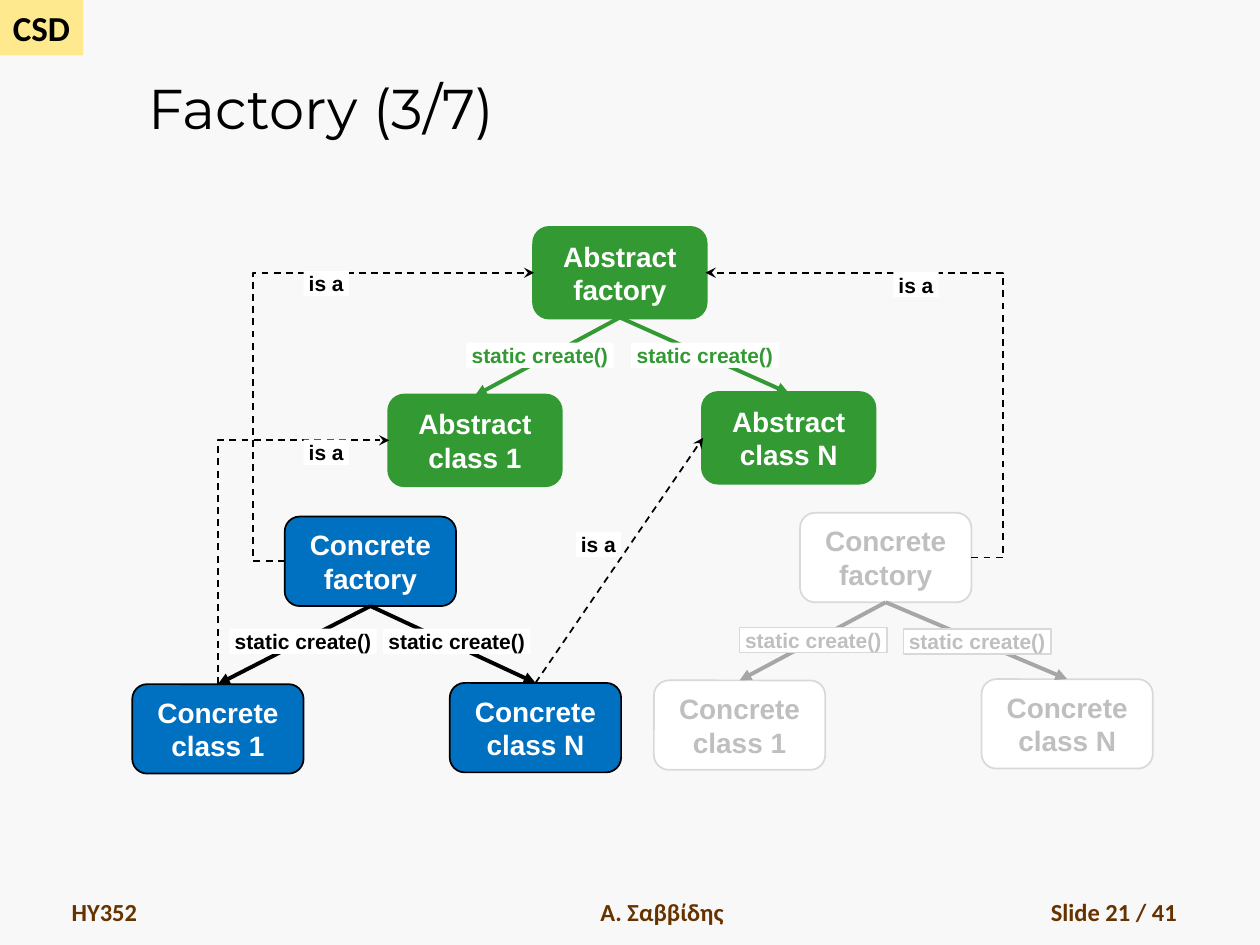
"""Builds the Factory (3/7) slide: abstract and concrete factories with their classes."""
from lxml import etree
from pptx import Presentation
from pptx import util as u
from pptx.dml.color import RGBColor
from pptx.enum import dml, shapes, text
from pptx.oxml.ns import qn

BLACK, WHITE = RGBColor(0, 0, 0), RGBColor(255, 255, 255)
GREEN, BLUE = RGBColor(0x33, 0x99, 0x33), RGBColor(0, 0x70, 0xC0)
PALE, SILVER, GREY = (RGBColor(v, v, v) for v in (0xD9, 0xBF, 0xA6))
BACK, YELLOW, BROWN = RGBColor(0xF8, 0xF8, 0xF8), RGBColor(0xFF, 0xE9, 0x8F), RGBColor(0x66, 0x33, 0)
LEFT, CENTER, RIGHT = text.PP_ALIGN.LEFT, text.PP_ALIGN.CENTER, text.PP_ALIGN.RIGHT
TOP, MIDDLE, BOTTOM = text.MSO_ANCHOR.TOP, text.MSO_ANCHOR.MIDDLE, text.MSO_ANCHOR.BOTTOM
SITE_TOP, SITE_LEFT, SITE_BOTTOM, SITE_RIGHT = range(4)
BOX_W, BOX_H, LABEL_H = 1.36, 0.71, 0.2
CREATE, IS_A = ("static create()", 1.17), ("is a", 0.36)
PARTS = ("factory", "class 1", "class N")

FAMILIES = [
    dict(kind="Abstract", at=[(4.24, 1.81), (3.09, 3.14), (5.58, 3.12)],
         labels=[(3.7, 2.72), (5.01, 2.72)], fill=GREEN, line=(GREEN, 2.25),
         ink=WHITE, arrow=GREEN, label_ink=GREEN, label_line=None),
    dict(kind="Concrete", at=[(2.26, 4.1), (1.05, 5.43), (3.57, 5.42)],
         labels=[(1.82, 4.99), (3.04, 4.99)], fill=BLUE, line=(BLACK, 1),
         ink=WHITE, arrow=BLACK, label_ink=BLACK, label_line=None),
    dict(kind="Concrete", at=[(6.35, 4.07), (5.19, 5.4), (7.79, 5.39)],
         labels=[(5.87, 4.98), (7.17, 4.99)], fill=WHITE, line=(PALE, 1),
         ink=SILVER, arrow=GREY, label_ink=SILVER, label_line=(PALE, 1)),
]
IS_A_AT = [(2.41, 3.49), (2.41, 2.15), (4.57, 4.22), (7.09, 2.16)]
FOOTER = [("HY352", 0.47, 2.19, LEFT), ("Α. Σαββίδης", 3.67, 3.17, CENTER),
          ("Slide 21 / 41", 7.36, 2.08, RIGHT)]


def write(sp, lines, size, color, font="Arial", bold=True, align=CENTER, anchor=TOP,
          inset=(0.1, 0.05), wrap=False):
    tf = sp.text_frame
    tf.text = "\n".join(lines)
    mx, my = map(u.Inches, inset)
    frame = dict(word_wrap=wrap, vertical_anchor=anchor, auto_size=text.MSO_AUTO_SIZE.NONE,
                 margin_left=mx, margin_right=mx, margin_top=my, margin_bottom=my)
    for name, value in frame.items():
        setattr(tf, name, value)
    for p in tf.paragraphs:
        p.alignment = align
        for name, value in dict(size=u.Pt(size), name=font, bold=bold).items():
            setattr(p.font, name, value)
        p.font.color.rgb = color


def add_box(parent, at, size, fill, line=None, preset="RECTANGLE"):
    sp = parent.add_shape(getattr(shapes.MSO_SHAPE, preset), *map(u.Inches, (*at, *size)))
    sp.shadow.inherit = False
    sp.fill.solid()
    sp.fill.fore_color.rgb = fill
    if line:
        sp.line.color.rgb, sp.line.width = line[0], u.Pt(line[1])
    else:
        sp.line.fill.background()
    return sp


def add_label(parent, at, label, ink, line=None):
    sp = add_box(parent, at, (label[1], LABEL_H), WHITE, line)
    write(sp, [label[0]], 12, ink, inset=(0.04, 0))


def add_arrow(parent, start, end, color, width, head, kind="STRAIGHT", dash=False):
    cx = parent.add_connector(getattr(shapes.MSO_CONNECTOR, kind), 0, 0, 0, 0)
    cx.begin_connect(*start)
    cx.end_connect(*end)
    cx.line.color.rgb, cx.line.width = color, u.Pt(width)
    if dash:
        cx.line.dash_style = dml.MSO_LINE.DASH
    etree.SubElement(cx.line._get_or_add_ln(), qn("a:tailEnd"), type=head)
    etree.SubElement(cx._element.spPr, qn("a:effectLst"))
    return cx


def set_bend(cx, offset):
    guides = cx._element.spPr.prstGeom.get_or_add_avLst()
    etree.SubElement(guides, qn("a:gd"), name="adj1", fmla=f"val {round(offset * 100000)}")


def set_corner(cx):
    w, h = cx.width, cx.height
    mid_x, mid_y = cx.left + w // 2, cx.top + h // 2
    cx.left, cx.top, cx.width, cx.height = mid_x - h // 2, mid_y - w // 2, h, w
    cx._element.spPr.prstGeom.set("prst", "bentConnector2")
    for name, value in dict(rot="5400000", flipH="1", flipV="1").items():
        cx._element.spPr.find(qn("a:xfrm")).set(name, value)


def add_family(s, family):
    group = s.shapes.add_group_shape().shapes
    boxes = []
    for part, at in zip(PARTS, family["at"]):
        sp = add_box(group, at, (BOX_W, BOX_H), family["fill"], family["line"], "ROUNDED_RECTANGLE")
        write(sp, [family["kind"], part], 16, family["ink"], anchor=MIDDLE)
        boxes.append(sp)
    for child in boxes[1:]:
        add_arrow(group, (boxes[0], SITE_BOTTOM), (child, SITE_TOP), family["arrow"], 2.25, "triangle")
    for at in family["labels"]:
        add_label(group, at, CREATE, family["label_ink"], family["label_line"])
    return boxes


prs = Presentation()
prs.slide_width, prs.slide_height = u.Inches(10), u.Inches(7.5)
s = prs.slides.add_slide(prs.slide_layouts[5])
s.background.fill.solid()
s.background.fill.fore_color.rgb = BACK

badge = add_box(s.shapes, (0, 0), (0.66, 0.44), YELLOW)
write(badge, ["CSD"], 20, BLACK, "Calibri")
title = s.shapes.title
title.left, title.top, title.width, title.height = map(u.Inches, (1.08, 0.17, 8.92, 1))
write(title, ["Factory (3/7)"], 32, BLACK, "Montserrat", False, LEFT, BOTTOM, wrap=True)
for words, x, w, align in FOOTER:
    tb = s.shapes.add_textbox(*map(u.Inches, (x, 6.9, w, 0.5)))
    write(tb, [words], 14, BROWN, "Calibri", True, align, BOTTOM, wrap=True)

abstract, concrete, faded = [add_family(s, family) for family in FAMILIES]
DASHED = dict(color=BLACK, width=1, head="stealth", dash=True)
set_bend(add_arrow(s.shapes, (concrete[0], SITE_LEFT), (abstract[0], SITE_LEFT), kind="ELBOW", **DASHED), -0.126)
set_corner(add_arrow(s.shapes, (concrete[1], SITE_TOP), (abstract[1], SITE_LEFT), kind="ELBOW", **DASHED))
add_arrow(s.shapes, (concrete[2], SITE_TOP), (abstract[2], SITE_LEFT), **DASHED)
set_bend(add_arrow(s.shapes, (faded[0], SITE_RIGHT), (abstract[0], SITE_RIGHT), kind="ELBOW", **DASHED), -0.119)
for at in IS_A_AT:
    add_label(s.shapes, at, IS_A, BLACK)

prs.save("out.pptx")
